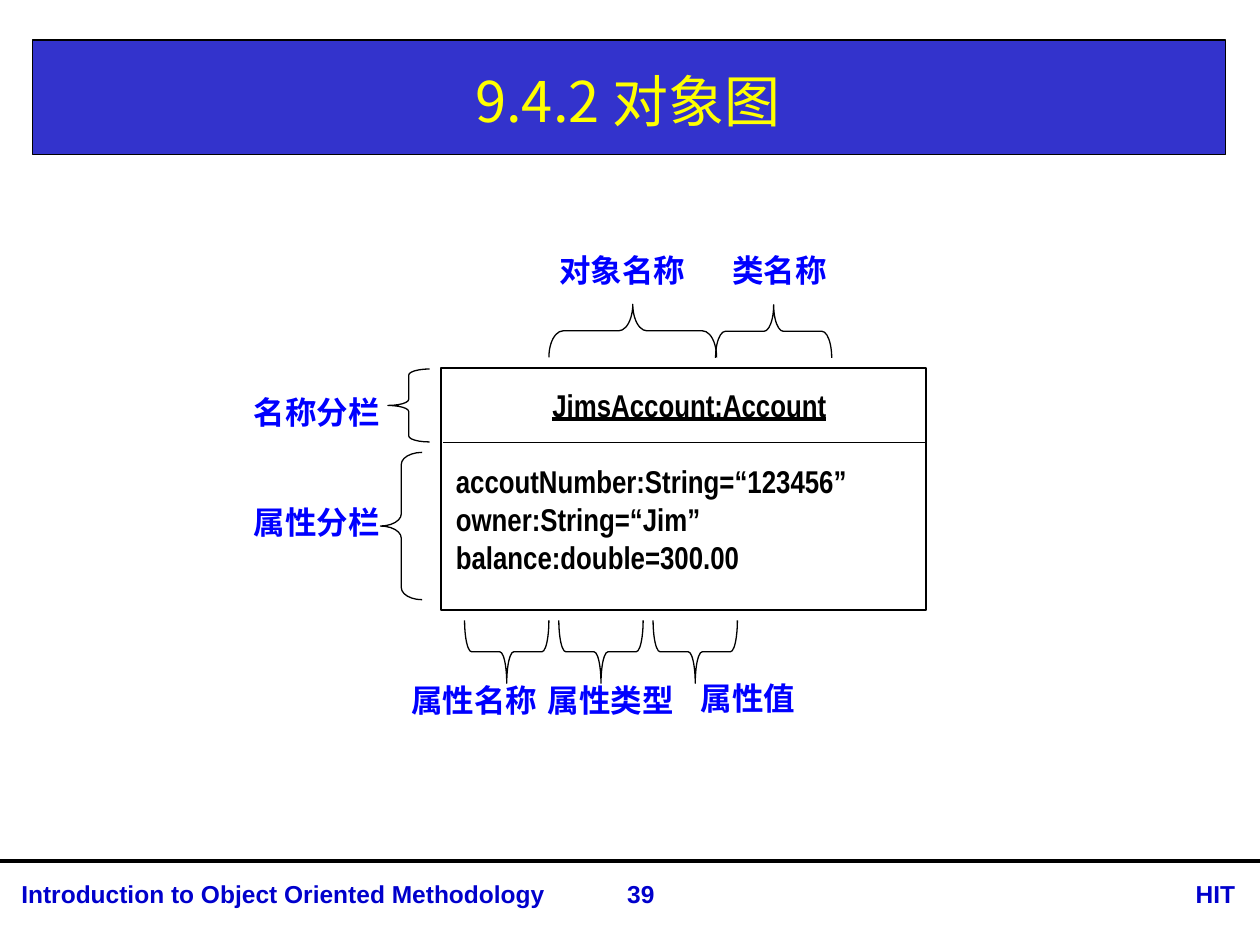
"""Build a slide that explains the parts of a UML object diagram."""
import dataclasses

import lxml.etree
import pptx
import pptx.dml.color
import pptx.enum.shapes
import pptx.enum.text
import pptx.oxml.ns
import pptx.util

Cm = pptx.util.Cm
ALIGN = pptx.enum.text.PP_ALIGN
SHAPE = pptx.enum.shapes.MSO_SHAPE


@dataclasses.dataclass(frozen=True)
class Theme:
    banner: str = "3333CC"
    title: str = "FFFF00"
    footer: str = "0000CC"
    label: str = "0000FF"
    ink: str = "000000"
    title_size: int = 32
    body_size: int = 18
    footer_size: int = 14
    thin: float = 0.75
    thick: float = 2.25
    sans: str = "Arial"
    narrow: str = "Arial Narrow"
    chinese: str = "Noto Sans CJK SC"


THEME = Theme()


def rgb(color):
    return pptx.dml.color.RGBColor.from_string(color)


def add_text(slide, frame, lines, size, color, font=THEME.sans, align=ALIGN.CENTER,
             bold=True, underline=None, anchor=pptx.enum.text.MSO_ANCHOR.TOP):
    text_frame = slide.shapes.add_textbox(*map(Cm, frame)).text_frame
    text_frame.word_wrap = True
    text_frame.vertical_anchor = anchor
    for index, line in enumerate(lines):
        paragraph = text_frame.add_paragraph() if index else text_frame.paragraphs[0]
        paragraph.alignment = align
        run = paragraph.add_run()
        run.text = line
        run.font.size = pptx.util.Pt(size)
        run.font.bold = bold
        run.font.underline = underline
        run.font.color.rgb = rgb(color)
        run.font.name = font
        east_asian = lxml.etree.SubElement(run.font._element, pptx.oxml.ns.qn("a:ea"))
        east_asian.set("typeface", THEME.chinese)


def add_outline(slide, kind, frame, fill=None):
    outline = slide.shapes.add_shape(kind, *map(Cm, frame))
    outline.shadow.inherit = False
    if fill:
        outline.fill.solid()
        outline.fill.fore_color.rgb = rgb(fill)
    else:
        outline.fill.background()
    outline.line.color.rgb = rgb(THEME.ink)
    outline.line.width = pptx.util.Pt(THEME.thin)
    return outline


def add_brace(slide, kind, frame, curve, rotation=0):
    brace = add_outline(slide, kind, frame)
    brace.adjustments[0] = curve
    brace.adjustments[1] = 0.5
    brace.rotation = rotation


def add_rule(slide, left, right, y, width):
    rule = slide.shapes.add_connector(
        pptx.enum.shapes.MSO_CONNECTOR.STRAIGHT, Cm(left), Cm(y), Cm(right), Cm(y))
    rule.line.color.rgb = rgb(THEME.ink)
    rule.line.width = pptx.util.Pt(width)
    lxml.etree.SubElement(rule._element.spPr, pptx.oxml.ns.qn("a:effectLst"))


def add_header(slide):
    add_outline(slide, SHAPE.RECTANGLE, (0.66, 0.81, 24.05, 2.31), THEME.banner)
    add_text(slide, (0.66, 0.91, 24, 2.21), ["9.4.2 对象图"], THEME.title_size, THEME.title,
             font=THEME.chinese, bold=False, anchor=pptx.enum.text.MSO_ANCHOR.MIDDLE)


def add_footer(slide):
    add_rule(slide, 0, 25.4, 17.35, THEME.thick)
    for left, width, words, align in (
        (0.18, 11.76, "Introduction to Object Oriented Methodology", ALIGN.LEFT),
        (11.61, 2.62, "39", ALIGN.CENTER),
        (22.53, 2.62, "HIT", ALIGN.RIGHT),
    ):
        add_text(slide, (left, 17.6, width, 0.86), [words], THEME.footer_size,
                 THEME.footer, align=align)


def add_account(slide):
    add_outline(slide, SHAPE.RECTANGLE, (8.89, 7.42, 9.78, 4.88))
    add_rule(slide, 8.94, 18.67, 8.92, THEME.thin)
    add_text(slide, (10.19, 7.65, 7.42, 1.02), ["JimsAccount:Account"], THEME.body_size,
             THEME.ink, font=THEME.narrow, underline=True)
    attributes = ["accoutNumber:String=“123456”", "owner:String=“Jim”", "balance:double=300.00"]
    add_text(slide, (8.94, 9.19, 9.73, 2.54), attributes, THEME.body_size, THEME.ink,
             font=THEME.narrow, align=ALIGN.LEFT)


def add_braces(slide):
    add_brace(slide, SHAPE.LEFT_BRACE, (12.22, 4.98, 1.07, 3.38), 0.267, 90)
    add_brace(slide, SHAPE.LEFT_BRACE, (15.06, 5.51, 1.07, 2.34), 0.183, 90)
    for column in range(3):
        add_brace(slide, SHAPE.RIGHT_BRACE, (9.58 + 1.9 * column, 12.29, 1.27, 1.7), 0.111, 90)
    add_brace(slide, SHAPE.LEFT_BRACE, (7.82, 7.44, 0.84, 1.47), 0.146)
    add_brace(slide, SHAPE.LEFT_BRACE, (7.67, 9.12, 0.84, 2.97), 0.292)


def add_labels(slide):
    for left, top, words in (
        (10.85, 4.93, "对象名称"),
        (14.02, 4.93, "类名称"),
        (7.87, 13.61, "属性名称"),
        (10.62, 13.61, "属性类型"),
        (13.39, 13.56, "属性值"),
        (4.7, 7.8, "名称分栏"),
        (4.7, 10.01, "属性分栏"),
    ):
        add_text(slide, (left, top, 3.38, 1.02), [words], THEME.body_size, THEME.label)


def main():
    deck = pptx.Presentation()
    deck.slide_width, deck.slide_height = Cm(25.4), Cm(19.05)
    slide = deck.slides.add_slide(deck.slide_layouts[6])
    add_header(slide)
    add_footer(slide)
    add_account(slide)
    add_braces(slide)
    add_labels(slide)
    deck.save("out.pptx")


if __name__ == "__main__":
    main()
